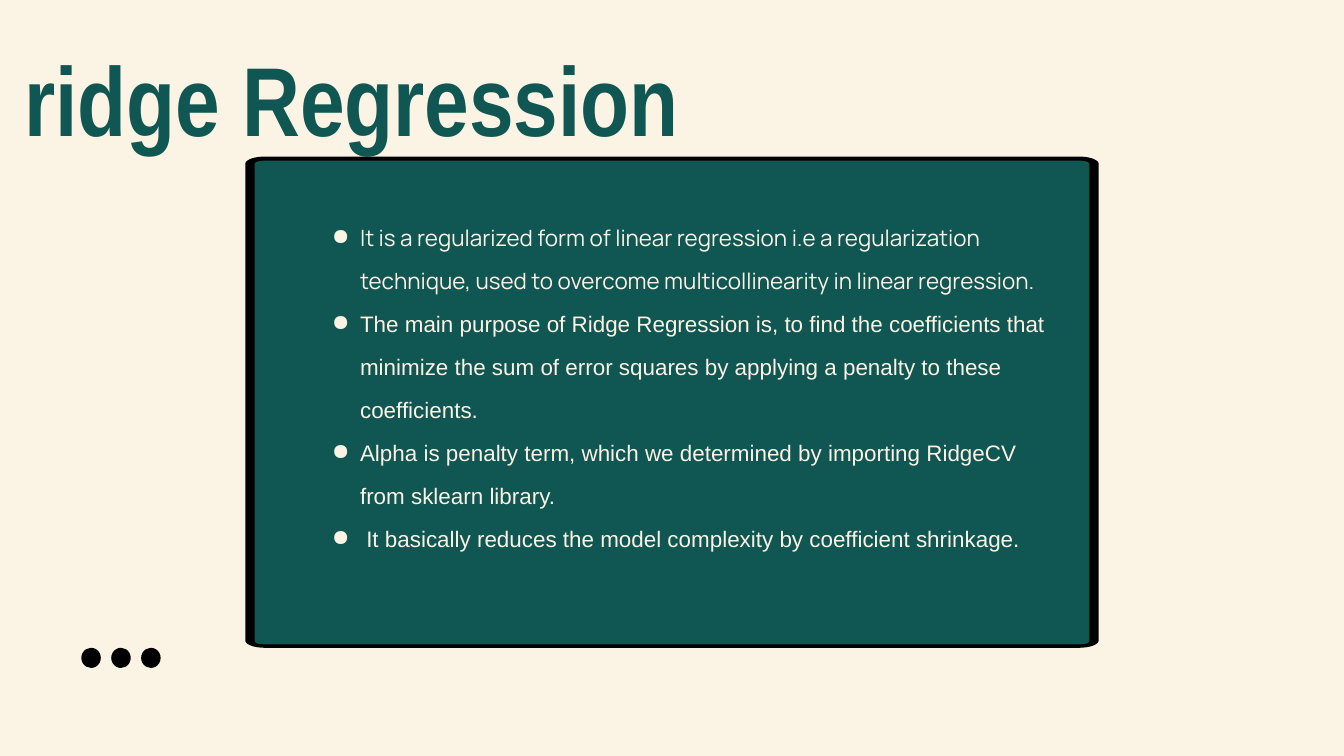
import math

from lxml import etree
from pptx import Presentation
from pptx import util as u
from pptx.dml.color import RGBColor
from pptx.enum import shapes, text
from pptx.oxml import ns

CREAM, TEAL, BLACK = "FBF3E4", "105652", "000000"
COLUMNS, ROWS = 20, 11.25

POINTS = [
    ("It is a regularized form of linear regression i.e a regularization technique, "
     "used to overcome multicollinearity in linear regression.", "Manrope"),
    ("The main purpose of Ridge Regression is, to find the coefficients that minimize "
     "the sum of error squares by applying a penalty to these coefficients.", "Arial"),
    ("Alpha is penalty term, which we determined by importing RidgeCV "
     "from sklearn library.", "Arial"),
    (" It basically reduces the model complexity by coefficient shrinkage.", "Arial"),
]


def colour(hex_string):
    return RGBColor.from_string(hex_string)


class Deck:
    def __init__(self):
        self.prs = Presentation()
        self.prs.slide_width, self.prs.slide_height = u.Inches(20), u.Inches(11.25)
        self.slide = self.prs.slides.add_slide(self.prs.slide_layouts[5])
        fill = self.slide.background.fill
        fill.solid()
        fill.fore_color.rgb = colour(CREAM)

    def x(self, columns):
        return round(self.prs.slide_width * columns / COLUMNS)

    def y(self, rows):
        return round(self.prs.slide_height * rows / ROWS)

    def box(self, left, top, width, height):
        return self.x(left), self.y(top), self.x(width), self.y(height)

    def paint(self, shape, fill):
        shape.shadow.inherit = False
        shape.fill.solid()
        shape.fill.fore_color.rgb = colour(fill)
        shape.line.fill.background()

    def frame_text(self, frame, inset):
        frame.word_wrap = True
        frame.auto_size = text.MSO_AUTO_SIZE.SHAPE_TO_FIT_TEXT
        frame.vertical_anchor = text.MSO_ANCHOR.TOP
        frame.margin_left = frame.margin_right = u.Inches(inset)
        frame.margin_top = frame.margin_bottom = u.Inches(inset)

    def run(self, paragraph, words, font, size, ink, bold=False):
        paragraph.alignment = text.PP_ALIGN.LEFT
        run = paragraph.add_run()
        run.text = words
        run.font.name, run.font.size, run.font.bold = font, u.Pt(size), bold
        run.font.color.rgb = colour(ink)

    def title(self, words, *place):
        heading = self.slide.shapes.title
        heading.left, heading.top, heading.width, heading.height = self.box(*place)
        self.frame_text(heading.text_frame, 0)
        self.run(heading.text_frame.paragraphs[0], words, "Arial Narrow", 104.8, TEAL, True)

    def panel(self, left, top, width, height, rx, ry, fill):
        corners = [(left + width - rx, top + height - ry, 0),
                   (left + rx, top + height - ry, 90),
                   (left + rx, top + ry, 180),
                   (left + width - rx, top + ry, 270)]
        outline = [(self.x(cx + rx * math.cos(math.radians(start + step))),
                    self.y(cy + ry * math.sin(math.radians(start + step))))
                   for cx, cy, start in corners for step in range(0, 91, 10)]
        builder = self.slide.shapes.build_freeform(*outline[0])
        builder.add_line_segments(outline[1:], close=True)
        self.paint(builder.convert_to_shape(), fill)

    def bullets(self, points, *place):
        frame = self.slide.shapes.add_textbox(*self.box(*place)).text_frame
        self.frame_text(frame, 0.1)
        for index, (words, font) in enumerate(points):
            paragraph = frame.add_paragraph() if index else frame.paragraphs[0]
            paragraph.line_spacing = 1.6
            self.run(paragraph, words, font, 24, CREAM)
            props = paragraph._p.get_or_add_pPr()
            props.set("marL", str(u.Inches(0.5)))
            props.set("indent", str(u.Inches(-0.42)))
            ink = etree.SubElement(props, ns.qn("a:buClr"))
            etree.SubElement(ink, ns.qn("a:srgbClr")).set("val", CREAM)
            etree.SubElement(props, ns.qn("a:buChar")).set("char", "●")

    def dot(self, *place):
        self.paint(self.slide.shapes.add_shape(
            shapes.MSO_SHAPE.OVAL, *self.box(*place)), BLACK)


def main():
    deck = Deck()
    deck.title("ridge Regression", 0.36, 0.57, 10.89, 1.76)
    deck.panel(3.65, 2.33, 12.7, 7.31, 0.29, 0.11, BLACK)
    deck.panel(3.79, 2.39, 12.42, 7.2, 0.15, 0.05, TEAL)
    deck.bullets(POINTS, 4.76, 3, 11.09, 5.78)
    for place in range(3):
        deck.dot(1.21 + 0.445 * place, 9.64, 0.29, 0.3)
    deck.prs.save("out.pptx")


if __name__ == "__main__":
    main()
